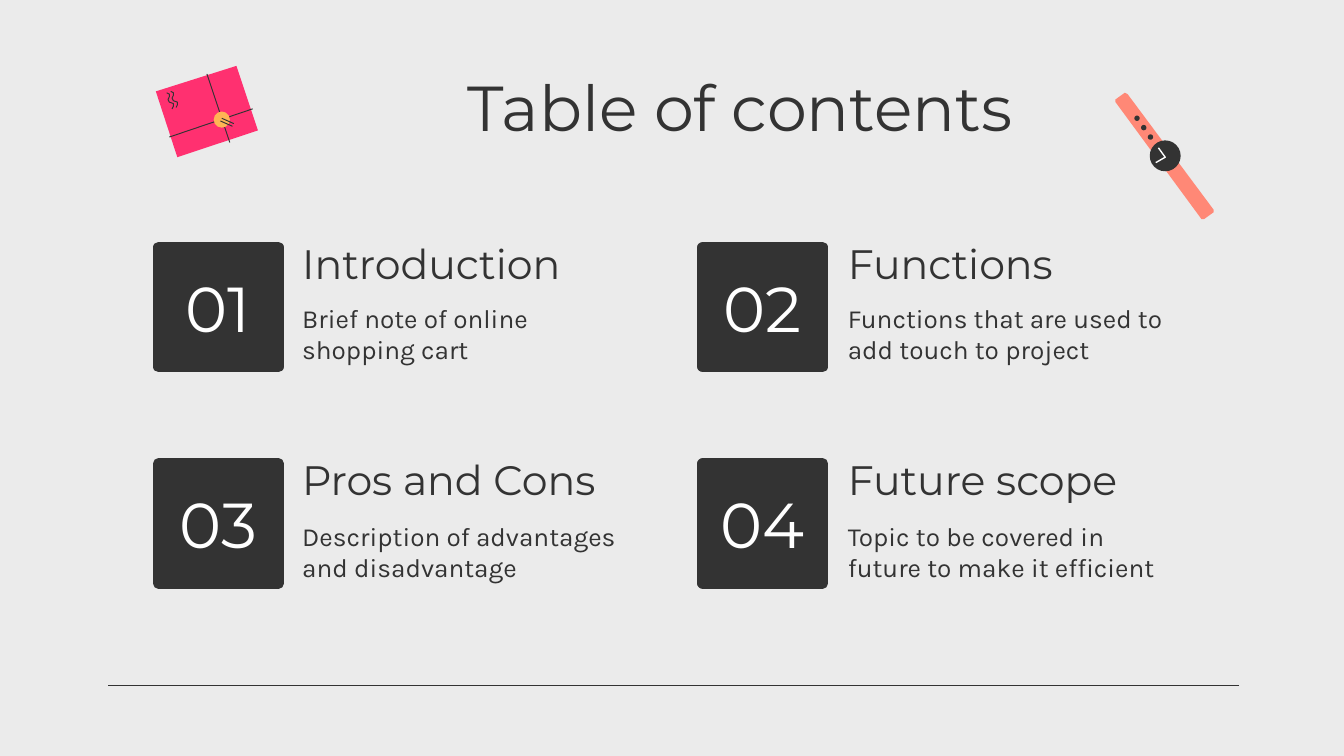
from pptx import Presentation
from pptx.dml.color import RGBColor
from pptx.enum.shapes import MSO_CONNECTOR as Connector, MSO_SHAPE as Shape
from pptx.enum.text import MSO_ANCHOR as Anchor, PP_ALIGN as Align
from pptx.oxml.ns import qn
from pptx.util import Inches, Pt
from lxml.etree import SubElement

COLORS = {
    "back": "EBEBEB", "dark": "333333", "white": "FFFFFF",
    "pink": "FF3070", "gold": "FFB554", "coral": "FF8876",
}
TOPICS = [
    ("Introduction", "Brief note of online shopping cart"),
    ("Functions", "Functions that are used to add touch to project"),
    ("Pros and Cons", "Description of advantages and disadvantage"),
    ("Future scope", "Topic to be covered in future to make it efficient"),
]
COLUMNS = [(1.18, 2.15), (5.23, 6.21)]
ROWS = [(1.84, 2.15), (3.45, 3.77)]
BOX_SIZE = 0.89


def color(name):
    return RGBColor.from_string(COLORS[name])


def write(frame, text, size, font="Montserrat", fill="dark",
          align=Align.LEFT, anchor=Anchor.TOP):
    frame.word_wrap = True
    frame.vertical_anchor = anchor
    frame.margin_left = frame.margin_right = Inches(0.1)
    frame.margin_top = frame.margin_bottom = Inches(0.1)
    para = frame.paragraphs[0]
    para.alignment = align
    span = para.add_run()
    span.text = text
    span.font.size = Pt(size)
    span.font.name = font
    span.font.color.rgb = color(fill)


class SlideBuilder:
    def __init__(self, page, heading="Montserrat", body="Karla"):
        self.shapes = page.shapes
        self.heading = heading
        self.body = body
        page.background.fill.solid()
        page.background.fill.fore_color.rgb = color("back")

    def paint(self, shape, fill=None, line=None, width=0.75):
        shape.shadow.inherit = False
        if fill:
            shape.fill.solid()
            shape.fill.fore_color.rgb = color(fill)
        else:
            shape.fill.background()
        if line:
            shape.line.color.rgb = color(line)
            shape.line.width = Pt(width)
            SubElement(shape._element.spPr.find(qn("a:ln")), qn("a:round"))
        else:
            shape.line.fill.background()

    def text(self, area, text, size, **style):
        box = self.shapes.add_textbox(*map(Inches, area))
        write(box.text_frame, text, size, **style)

    def number(self, left, top, text):
        box = self.shapes.add_shape(
            Shape.RECTANGLE, *map(Inches, (left, top, BOX_SIZE, BOX_SIZE)))
        self.paint(box, "dark", "dark", 6)
        write(box.text_frame, text, 34, font=self.heading, fill="white",
              align=Align.CENTER, anchor=Anchor.MIDDLE)

    def topic(self, column, row, number, name, detail):
        box_left, text_left = column
        top, detail_top = row
        self.number(box_left, top, number)
        self.text((text_left, top, 2.61, 0.4), name, 22,
                  font=self.heading, anchor=Anchor.BOTTOM)
        self.text((text_left, detail_top, 2.61, 0.58), detail, 14,
                  font=self.body)

    def line(self, start, end, width=0.75):
        line = self.shapes.add_connector(
            Connector.STRAIGHT, *map(Inches, start + end))
        line.line.color.rgb = color("dark")
        line.line.width = Pt(width)
        SubElement(line._element.spPr, qn("a:effectLst"))

    def outline(self, points, close=True, **style):
        spots = [(Inches(x), Inches(y)) for x, y in points]
        builder = self.shapes.build_freeform(*spots[0])
        builder.add_line_segments(spots[1:], close=close)
        self.paint(builder.convert_to_shape(), **style)

    def circle(self, x, y, diameter, fill):
        radius = diameter / 2
        dot = self.shapes.add_shape(
            Shape.OVAL, *map(Inches, (x - radius, y - radius, diameter, diameter)))
        self.paint(dot, fill)

    def envelope(self):
        self.outline([(1.76, 0.49), (1.92, 0.97), (1.32, 1.17), (1.16, 0.68)],
                     fill="pink")
        self.line((1.26, 1.02), (1.88, 0.81), 0.5)
        self.line((1.54, 0.55), (1.71, 1.06), 0.5)
        self.circle(1.65, 0.89, 0.12, "gold")
        self.line((1.65, 0.88), (1.74, 0.92), 0.5)
        self.line((1.64, 0.9), (1.73, 0.94), 0.5)
        squiggle = [(1.24, 0.69), (1.26, 0.7), (1.26, 0.72), (1.25, 0.74),
                    (1.26, 0.76), (1.29, 0.77), (1.29, 0.79), (1.28, 0.81)]
        for shift in (0, 0.03):
            self.outline([(x + shift, y - shift / 3) for x, y in squiggle],
                         close=False, line="dark", width=0.5)

    def watch(self):
        self.outline([(8.37, 0.69), (8.39, 0.7), (9.03, 1.56), (9.03, 1.58),
                      (8.96, 1.63), (8.94, 1.63), (8.3, 0.76), (8.3, 0.74)],
                     fill="coral")
        self.circle(8.67, 1.16, 0.23, "dark")
        self.outline([(8.62, 1.1), (8.67, 1.17), (8.6, 1.21)],
                     close=False, line="white")
        for step in range(3):
            self.circle(8.46 + 0.05 * step, 0.88 + 0.07 * step, 0.04, "dark")


def main():
    deck = Presentation()
    deck.slide_width = Inches(10)
    deck.slide_height = deck.slide_width * 9 // 16
    slide = SlideBuilder(deck.slides.add_slide(deck.slide_layouts[6]))
    slide.line((9.22, 5.1), (0.8, 5.1))
    slide.text((1.29, 0.41, 8.43, 0.63), "Table of contents", 34,
               font=slide.heading, align=Align.CENTER)
    for index, (name, detail) in enumerate(TOPICS):
        row, column = divmod(index, 2)
        slide.topic(COLUMNS[column], ROWS[row], f"{index + 1:02}", name, detail)
    slide.envelope()
    slide.watch()
    deck.save("out.pptx")


if __name__ == "__main__":
    main()
